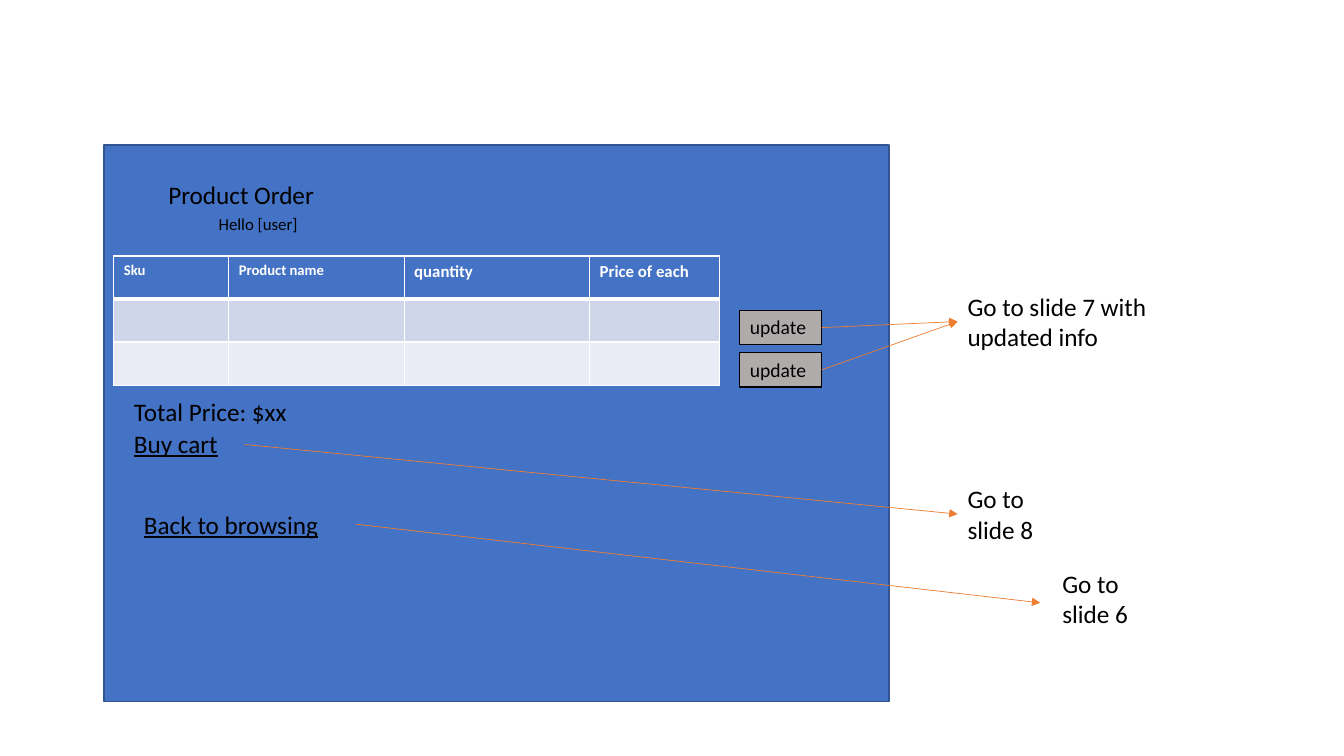
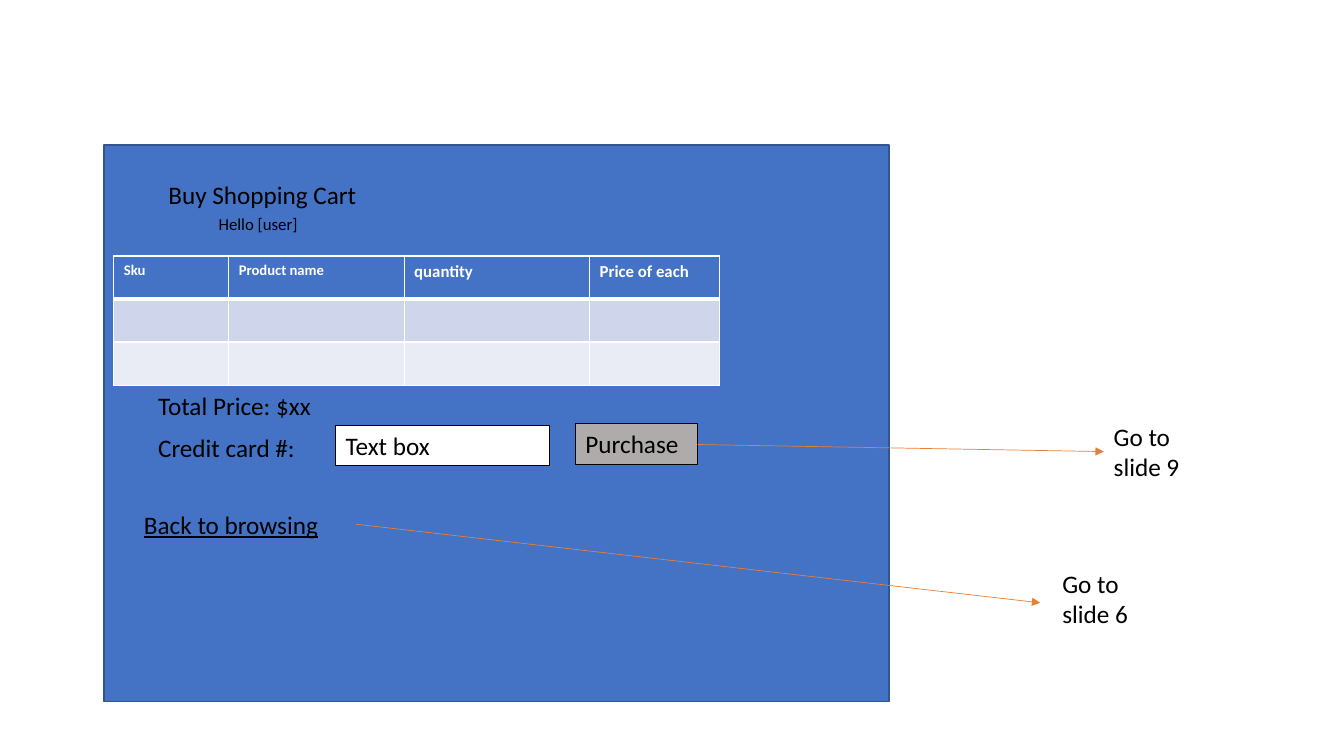
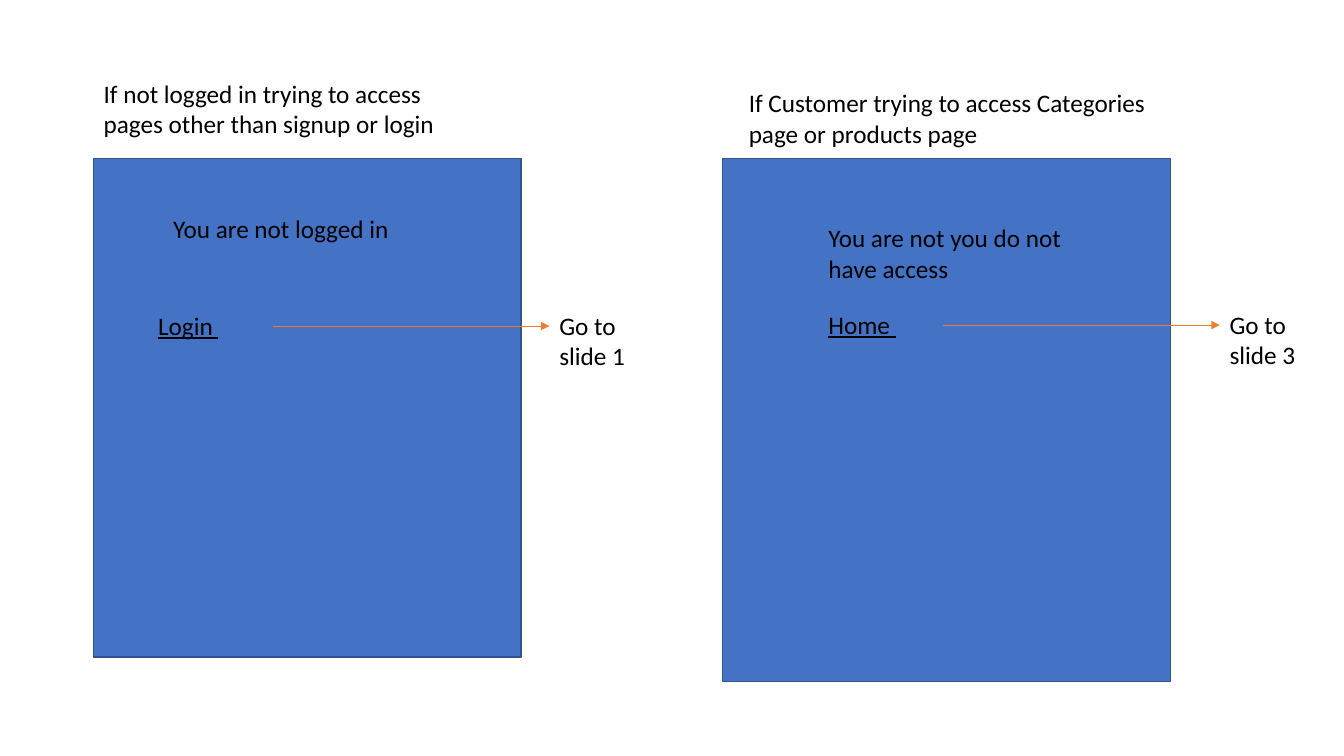
from lxml import etree
from pptx import Presentation, util as u
from pptx.dml.color import RGBColor
from pptx.enum import shapes, text
from pptx.oxml import ns

GRID = u.Inches(0.1)  # side of one square: lengths below are columns and rows
FONT = "Calibri"
BLACK, WHITE, BLUE, NAVY = "000000", "FFFFFF", "4472C4", "325491"
GRAY, ORANGE = "AFABAB", "ED7D31"
BAND_FILLS = [BLUE, "CFD5EA", "E9EBF5"]
rgb = RGBColor.from_string


def add_box(slide, bounds, wording="", size=18, underline=False,
            fill=None, line=BLACK, line_width=0.75, title=False):
    """Add a text box, a filled rectangle, or the slide's title above earlier shapes."""
    left, top, width, height = [int(length * GRID) for length in bounds]
    if title:
        shape = slide.shapes.title
        slide.shapes._spTree.append(shape._element)
        shape.left, shape.top, shape.width, shape.height = left, top, width, height
    elif fill:
        shape = slide.shapes.add_shape(shapes.MSO_SHAPE.RECTANGLE, left, top, width, height)
        shape.shadow.inherit = False
        shape.fill.solid()
        shape.fill.fore_color.rgb = rgb(fill)
        shape.line.color.rgb = rgb(line)
        shape.line.width = u.Pt(line_width)
    else:
        shape = slide.shapes.add_textbox(left, top, width, height)
    if not wording:
        return
    frame = shape.text_frame
    frame.word_wrap = True
    frame.auto_size = text.MSO_AUTO_SIZE.SHAPE_TO_FIT_TEXT
    frame.vertical_anchor = text.MSO_ANCHOR.TOP
    paragraph = frame.paragraphs[0]
    paragraph.alignment = text.PP_ALIGN.LEFT
    run = paragraph.add_run()
    run.text = wording
    run.font.name, run.font.size = FONT, u.Pt(size)
    run.font.color.rgb = rgb(BLACK)
    if underline:
        run.font.underline = True


def add_arrow(slide, *ends):
    arrow = slide.shapes.add_connector(
        shapes.MSO_CONNECTOR.STRAIGHT, *[int(length * GRID) for length in ends])
    arrow.line.color.rgb = rgb(ORANGE)
    arrow.line.width = u.Pt(0.5)
    etree.SubElement(arrow.line._get_or_add_ln(), ns.qn("a:tailEnd"), type="triangle")
    etree.SubElement(arrow._element.spPr, ns.qn("a:effectLst"))


presentation = Presentation()
presentation.slide_width, presentation.slide_height = u.Inches(13.333), u.Inches(7.5)
blank_layout = presentation.slide_layouts.get_by_name("Blank")
title_layout = presentation.slide_layouts.get_by_name("Title Only")

# Parts shared by the order page and the cart page
table_columns = [("Sku", 11.4, 10.5), ("Product name", 17.4, 10.5),
                 ("quantity", 18.4, 12), ("Price of each", 12.9, 12)]
row_height = 4.27
cart_slides = []
for page_title in ["Product Order", "Buy Shopping Cart"]:
    slide = presentation.slides.add_slide(title_layout)
    cart_slides.append(slide)
    add_box(slide, (10.3, 14.4, 77.9, 55.2), fill=BLUE, line=NAVY, line_width=1)
    add_box(slide, (15.7, 17.3, 23.5, 4), page_title, title=True)
    add_box(slide, (20.7, 20.7, 17.9, 3), "Hello [user]", size=12)

    table_width = sum(width for _, width, _ in table_columns)
    table = slide.shapes.add_table(
        len(BAND_FILLS), len(table_columns), int(11.3 * GRID), int(25.4 * GRID),
        int(table_width * GRID), int(len(BAND_FILLS) * row_height * GRID)).table
    for column, (heading, width, size) in enumerate(table_columns):
        table.columns[column].width = int(width * GRID)
        run = table.cell(0, column).text_frame.paragraphs[0].add_run()
        run.text = heading
        run.font.name, run.font.size, run.font.bold = FONT, u.Pt(size), True
        run.font.color.rgb = rgb(WHITE)
        for row, band_fill in enumerate(BAND_FILLS):
            cell = table.cell(row, column)
            properties = cell._tc.get_or_add_tcPr()
            for side in "LRTB":
                under_header = (row, side) in [(0, "B"), (1, "T")]
                border = etree.SubElement(properties, ns.qn(f"a:ln{side}"),
                                          w=str(u.Pt(3 if under_header else 1)))
                border_fill = etree.SubElement(border, ns.qn("a:solidFill"))
                etree.SubElement(border_fill, ns.qn("a:srgbClr"), val=WHITE)
            cell.fill.solid()
            cell.fill.fore_color.rgb = rgb(band_fill)

    add_box(slide, (13.3, 50, 21.9, 4.1), "Back to browsing", underline=True)
    add_arrow(slide, 35.3, 52, 103.2, 59.8)
    add_box(slide, (104.4, 55.9, 11.6, 7.1), "Go to slide 6")

order_slide, purchase_slide = cart_slides

# Order page
for button_top in [30.8, 35]:
    add_box(order_slide, (73.4, button_top, 8.1, 3.4), "update", size=14, fill=GRAY)
    add_arrow(order_slide, 81.5, button_top + 1.7, 95, 31.9)
add_box(order_slide, (95, 28.4, 25.3, 7.1), "Go to slide 7 with updated info")
add_box(order_slide, (12.3, 38.8, 38.4, 4), "Total Price: $xx")
add_box(order_slide, (12.3, 42, 21.9, 4.1), "Buy cart", underline=True)
add_arrow(order_slide, 24.3, 44.1, 95, 51)
add_box(order_slide, (95, 47.5, 11.6, 7.1), "Go to slide 8")

# Purchase page
add_box(purchase_slide, (14.7, 38.2, 38.4, 4), "Total Price: $xx")
add_box(purchase_slide, (14.7, 42.4, 15.9, 4), "Credit card #:")
add_box(purchase_slide, (33.3, 42.2, 21.2, 4), "Text box", fill=WHITE)
add_box(purchase_slide, (57.1, 42, 12.1, 4.1), "Purchase", fill=GRAY)
add_arrow(purchase_slide, 69.2, 44.1, 109.5, 44.8)
add_box(purchase_slide, (109.5, 41.3, 11.6, 7.1), "Go to slide 9")

# Access pages: condition, message and link of each panel
access_slide = presentation.slides.add_slide(blank_layout)
access_panels = [
    ((9.3, 15.7, 42.4, 49.5),
     (9.3, 7.3, 39.2, 7.1), "If not logged in trying to access pages other than signup or login",
     (16.2, 20.7, 27.4, 4), "You are not logged in",
     (14.7, 30.3), "Login ", "Go to slide 1"),
    ((71.7, 15.7, 44.4, 51.9),
     (73.3, 8.2, 43.1, 7.1), "If Customer trying to access Categories page or products page",
     (81.2, 21.6, 27.4, 7.1), "You are not you do not have access",
     (81.2, 30.2), "Home ", "Go to slide 3"),
]
for (panel, condition_bounds, condition, message_bounds, message,
     (link_left, link_top), link, target) in access_panels:
    add_box(access_slide, panel, fill=BLUE, line=NAVY, line_width=1)
    add_box(access_slide, condition_bounds, condition)
    add_box(access_slide, message_bounds, message)
    add_box(access_slide, (link_left, link_top, 16, 4), link, underline=True)
    target_left, arrow_top = link_left + 39.8, link_top + 2.05
    add_arrow(access_slide, link_left + 12.4, arrow_top, target_left, arrow_top)
    add_box(access_slide, (target_left, link_top, 12.3, 7.1), target)

presentation.save("out.pptx")
